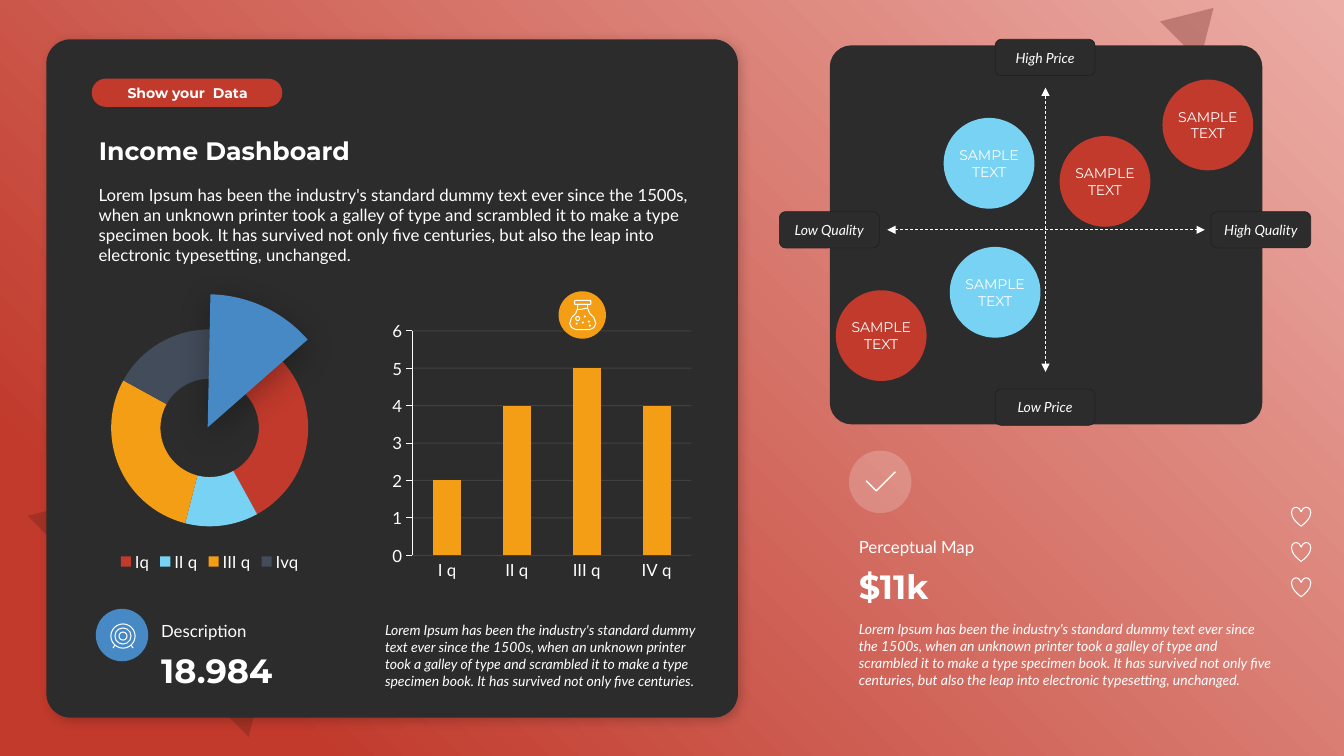
"""Build the income dashboard slide with two charts and a perceptual map."""
import lxml.etree
import pptx
import pptx.chart.data
import pptx.dml.color
import pptx.enum.chart
import pptx.enum.dml
import pptx.enum.shapes
import pptx.enum.text
import pptx.oxml
import pptx.oxml.ns
import pptx.util

Inches = pptx.util.Inches
Pt = pptx.util.Pt
RGBColor = pptx.dml.color.RGBColor
SHAPE = pptx.enum.shapes.MSO_SHAPE
ANCHOR = pptx.enum.text.MSO_ANCHOR
ALIGN = pptx.enum.text.PP_ALIGN
CHART = pptx.enum.chart.XL_CHART_TYPE
qn = pptx.oxml.ns.qn

WHITE = RGBColor(0xFF, 0xFF, 0xFF)
BLACK = RGBColor(0, 0, 0)
DARK = RGBColor(0x2C, 0x2C, 0x2C)
EDGE = RGBColor(0x21, 0x21, 0x21)
RED = RGBColor(0xC1, 0x3A, 0x2C)
PINK = RGBColor(0xEB, 0xAD, 0xA6)
MAROON = RGBColor(0x60, 0x1D, 0x16)
SKY = RGBColor(0x78, 0xD2, 0xF4)
ORANGE = RGBColor(0xF3, 0x9E, 0x14)
SLATE = RGBColor(0x43, 0x4C, 0x5B)
BLUE = RGBColor(0x47, 0x89, 0xC5)

LOREM = ("Lorem Ipsum has been the industry's standard dummy text ever since the 1500s, "
         "when an unknown printer took a galley of type and scrambled it to make a type "
         "specimen book. It has survived not only five centuries")
LOREM_LONG = LOREM + ", but also the leap into electronic typesetting, unchanged."


def set_alpha(fill_parent, percent):
    """Give the solid colour inside an element an opacity."""
    color = next(fill_parent.iter(qn("a:srgbClr")))
    lxml.etree.SubElement(color, qn("a:alpha"), val=str(percent * 1000))


def add_shadow(shape, alpha, blur, distance, angle):
    """Add a soft outer shadow to a shape."""
    effects = shape._element.spPr.find(qn("a:effectLst"))
    shadow = lxml.etree.SubElement(
        effects, qn("a:outerShdw"), blurRad=str(Pt(blur)), dist=str(Pt(distance)),
        dir=str(angle * 60000), algn="ctr", rotWithShape="0")
    color = lxml.etree.SubElement(shadow, qn("a:srgbClr"), val=str(BLACK))
    lxml.etree.SubElement(color, qn("a:alpha"), val=str(alpha * 1000))


def style_shape(shape, fill, line, width):
    """Set fill and outline and remove the theme shadow."""
    shape.shadow.inherit = False
    if fill is None:
        shape.fill.background()
    else:
        shape.fill.solid()
        shape.fill.fore_color.rgb = fill
    if line is None:
        shape.line.fill.background()
    else:
        shape.line.color.rgb = line
        shape.line.width = Pt(width)


def add_shape(slide, kind, bounds, fill=None, line=None, width=0.75, adjust=(), alpha=None):
    """Add a preset shape."""
    shape = slide.shapes.add_shape(kind, *map(Inches, bounds))
    style_shape(shape, fill, line, width)
    for index, value in enumerate(adjust):
        shape.adjustments[index] = value
    if alpha is not None:
        set_alpha(shape._element.spPr, alpha)
    return shape


def add_outline(slide, points, close=False, width=0.75):
    """Add an unfilled white outline through the points."""
    start, *others = [(Inches(x), Inches(y)) for x, y in points]
    builder = slide.shapes.build_freeform(*start, scale=1.0)
    builder.add_line_segments(others, close=close)
    style_shape(builder.convert_to_shape(), None, WHITE, width)


def add_ring(slide, x, y, radius, fill=None):
    """Add a small white circle around a centre."""
    bounds = (x - radius, y - radius, 2 * radius, 2 * radius)
    add_shape(slide, SHAPE.OVAL, bounds, fill, None if fill else WHITE)


def write_text(shape, text, size, font="Lato", bold=False, italic=False,
               align=ALIGN.LEFT, anchor=ANCHOR.TOP, after=0):
    """Write one formatted paragraph into a shape."""
    frame = shape.text_frame
    frame.word_wrap = True
    frame.vertical_anchor = anchor
    para = frame.paragraphs[0]
    para.alignment = align
    para.space_after = Pt(after)
    span = para.add_run()
    span.text = text
    span.font.name = font
    span.font.size = Pt(size)
    span.font.bold = bold
    span.font.italic = italic
    span.font.color.rgb = WHITE


def add_text(slide, bounds, text, size, **style):
    """Add a text box that grows with its text."""
    box = slide.shapes.add_textbox(*map(Inches, bounds))
    write_text(box, text, size, **style)
    box.text_frame.auto_size = pptx.enum.text.MSO_AUTO_SIZE.SHAPE_TO_FIT_TEXT


def add_figure(slide, left, top, width, label, figure):
    """Add a label with a large figure below it."""
    add_text(slide, (left, top, width, 0.3), label, 12, anchor=ANCHOR.BOTTOM)
    add_text(slide, (left, top + 0.29, width, 0.5), figure, 24, font="Montserrat",
             bold=True, anchor=ANCHOR.BOTTOM)


def add_background(slide):
    """Add the gradient and the faint triangles."""
    backdrop = add_shape(slide, SHAPE.RECTANGLE, (0, 0, 13.33, 7.5), RED)
    backdrop.fill.gradient()
    for stop, color, position in zip(backdrop.fill.gradient_stops, (PINK, RED), (0, 0.85)):
        stop.color.rgb = color
        stop.position = position
    linear = next(backdrop._element.iter(qn("a:lin")))
    radial = lxml.etree.Element(qn("a:path"), path="circle")
    lxml.etree.SubElement(radial, qn("a:fillToRect"), l="100000", b="100000")
    linear.getparent().replace(linear, radial)
    for bounds in ((0.73, 4.02, 3.1, 2.57), (11.59, 0.01, 0.56, 0.47)):
        add_shape(slide, SHAPE.ISOSCELES_TRIANGLE, bounds, MAROON, alpha=30).rotation = 45


def add_title(slide):
    """Move the title above the panel and format it."""
    title = slide.shapes.title
    title._element.getparent().append(title._element)
    title.left, title.top, title.width, title.height = map(Inches, (0.88, 1.29, 6.16, 0.4))
    write_text(title, "Income Dashboard", 18, font="Montserrat", bold=True, anchor=ANCHOR.BOTTOM)
    title.text_frame.auto_size = pptx.enum.text.MSO_AUTO_SIZE.NONE


def add_chart(slide, kind, bounds, categories, values):
    """Add a one-series chart with white text."""
    data = pptx.chart.data.CategoryChartData()
    data.categories = categories
    data.add_series("Series 1", values)
    chart = slide.shapes.add_chart(kind, *map(Inches, bounds), data).chart
    chart.has_title = False
    chart.has_legend = False
    chart.font.name = "Lato"
    chart.font.size = Pt(12)
    chart.font.color.rgb = WHITE
    return chart


def add_share_chart(slide):
    """Add the doughnut with its raised wedge."""
    chart = add_chart(slide, CHART.DOUGHNUT, (0.66, 3.13, 2.84, 2.58),
                      ("Iq", "II q", "III q", "Ivq"), (42, 12, 29, 17))
    chart.has_legend = True
    chart.legend.position = pptx.enum.chart.XL_LEGEND_POSITION.BOTTOM
    chart.legend.include_in_layout = False
    for index, color in enumerate((RED, SKY, ORANGE, SLATE)):
        look = chart.plots[0].series[0].points[index].format
        look.fill.solid()
        look.fill.fore_color.rgb = color
        look.line.fill.background()
    wedge = add_shape(slide, SHAPE.ARC, (0.74, 2.92, 2.64, 2.64), BLUE, adjust=(162.715, 191.224))
    add_shadow(wedge, 30, 23, 6, 90)


def add_quarter_chart(slide):
    """Add the quarterly column chart."""
    chart = add_chart(slide, CHART.COLUMN_CLUSTERED, (3.83, 3.13, 3.09, 2.67),
                      ("I q", "II q", "III q", "IV q"), (2, 4, 5, 4))
    plot = chart.plots[0]
    plot.gap_width = 150
    plot.vary_by_categories = False
    plot.series[0].format.fill.solid()
    plot.series[0].format.fill.fore_color.rgb = ORANGE
    chart.category_axis.format.line.fill.background()
    chart.category_axis.major_tick_mark = pptx.enum.chart.XL_TICK_MARK.NONE
    axis = chart.value_axis
    axis.minimum_scale, axis.maximum_scale, axis.major_unit = 0, 6, 1
    axis.major_tick_mark = pptx.enum.chart.XL_TICK_MARK.OUTSIDE
    axis.format.line.color.rgb = WHITE
    grid = axis.major_gridlines.format.line
    grid.color.rgb = WHITE
    grid.width = Pt(0.75)
    set_alpha(axis._element.find(qn("c:majorGridlines")), 10)


def add_icons(slide):
    """Add the target, flask, check mark and hearts."""
    add_shape(slide, SHAPE.OVAL, (0.95, 6.04, 0.52, 0.52), BLUE)
    for radius in (0.12, 0.08, 0.04):
        add_ring(slide, 1.22, 6.31, radius)
    for side in (-1, 1):
        add_outline(slide, [(1.22 + side * 0.08, 6.4), (1.22 + side * 0.1, 6.43)])
    add_shape(slide, SHAPE.OVAL, (5.54, 2.89, 0.47, 0.47), ORANGE)
    add_shape(slide, SHAPE.ROUNDED_RECTANGLE, (5.7, 2.98, 0.16, 0.04), line=WHITE)
    half = [(0.05, 3.02), (0.05, 3.06), (0.07, 3.11), (0.11, 3.15),
            (0.13, 3.21), (0.11, 3.25), (0.07, 3.27)]
    flask = [(5.78 + x, y) for x, y in half] + [(5.78 - x, y) for x, y in reversed(half)]
    add_outline(slide, flask, close=True)
    add_outline(slide, [(5.73, 3.07), (5.76, 3.07), (5.8, 3.06), (5.83, 3.06)])
    add_ring(slide, 5.73, 3.16, 0.02)
    for x, y in ((5.72, 3.21), (5.78, 3.2), (5.8, 3.14), (5.84, 3.19), (5.85, 3.23)):
        add_ring(slide, x, y, 0.01, WHITE)
    add_shape(slide, SHAPE.OVAL, (8.42, 4.47, 0.62, 0.62), WHITE, alpha=20)
    add_outline(slide, [(8.59, 4.77), (8.69, 4.87), (8.88, 4.68)], width=1)
    for index in range(3):
        add_shape(slide, SHAPE.HEART, (12.81, 5.03 + 0.35 * index, 0.19, 0.19), line=WHITE)


def add_axis_arrow(slide, ends):
    """Add a dashed line with arrowheads at both ends."""
    arrow = slide.shapes.add_connector(
        pptx.enum.shapes.MSO_CONNECTOR.STRAIGHT, *map(Inches, ends))
    arrow.line.color.rgb = WHITE
    arrow.line.width = Pt(0.5)
    arrow.line.dash_style = pptx.enum.dml.MSO_LINE.DASH
    for tag in ("a:headEnd", "a:tailEnd"):
        lxml.etree.SubElement(arrow.line._get_or_add_ln(), qn(tag), type="triangle")
    lxml.etree.SubElement(arrow._element.spPr, qn("a:effectLst"))


def add_perceptual_map(slide):
    """Add the map panel with its axes, labels and bubbles."""
    add_shape(slide, SHAPE.ROUNDED_RECTANGLE, (8.23, 0.45, 4.29, 3.76), DARK, adjust=[0.057])
    add_axis_arrow(slide, (8.8, 2.28, 11.95, 2.28))
    add_axis_arrow(slide, (10.37, 3.69, 10.37, 0.87))
    for label, left, top in (("High Price", 9.87, 0.39), ("Low Price", 9.87, 3.86),
                             ("Low Quality", 7.73, 2.1), ("High Quality", 12.01, 2.1)):
        tag = add_shape(slide, SHAPE.ROUNDED_RECTANGLE, (left, top, 0.99, 0.36), DARK, EDGE, 0.5)
        write_text(tag, label, 10, italic=True, align=ALIGN.CENTER, anchor=ANCHOR.MIDDLE)
    for left, top, color in ((9.36, 1.17, SKY), (9.42, 2.45, SKY), (8.29, 2.88, RED),
                             (10.51, 1.35, RED), (11.53, 0.79, RED)):
        bubble = add_shape(slide, SHAPE.OVAL, (left, top, 0.9, 0.9), color)
        bubble.text_frame.margin_left = bubble.text_frame.margin_right = 0
        write_text(bubble, "SAMPLE TEXT", 10, font="Montserrat",
                   align=ALIGN.CENTER, anchor=ANCHOR.MIDDLE)


def main():
    """Build and save the deck."""
    deck = pptx.Presentation()
    deck.slide_width, deck.slide_height = Inches(13.33), Inches(7.5)
    slide = deck.slides.add_slide(deck.slide_layouts[5])
    add_background(slide)
    panel = add_shape(slide, SHAPE.ROUNDED_RECTANGLE, (0.46, 0.39, 6.86, 6.73), DARK,
                      adjust=[0.036])
    add_shadow(panel, 20, 8, 3, 45)
    add_title(slide)
    add_text(slide, (0.88, 1.78, 6.16, 0.91), LOREM_LONG, 12, after=6)
    add_shape(slide, SHAPE.ROUNDED_RECTANGLE, (0.91, 0.78, 1.89, 0.28), RED, adjust=[0.5])
    add_text(slide, (0.99, 0.79, 1.74, 0.27), "Show your  Data", 10, font="Montserrat",
             bold=True, align=ALIGN.CENTER, anchor=ANCHOR.MIDDLE)
    add_share_chart(slide)
    add_quarter_chart(slide)
    add_figure(slide, 1.5, 6.11, 1.86, "Description", "18.984")
    add_text(slide, (3.72, 6.12, 3.32, 0.77), LOREM + ".", 10, italic=True, after=6)
    add_perceptual_map(slide)
    add_figure(slide, 8.42, 5.27, 4.34, "Perceptual Map", "$11k")
    add_text(slide, (8.42, 6.11, 4.34, 0.77), LOREM_LONG, 10, italic=True, after=6)
    add_icons(slide)
    deck.save("out.pptx")


if __name__ == "__main__":
    main()
